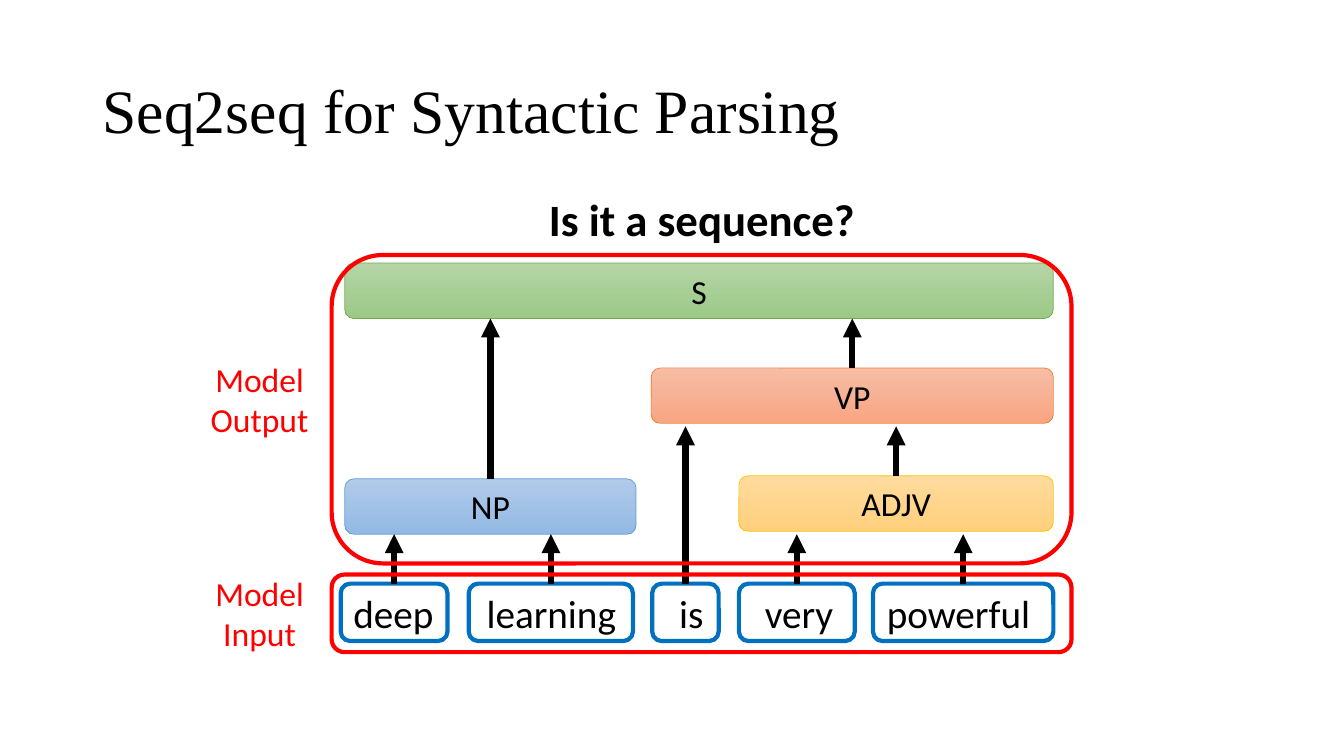
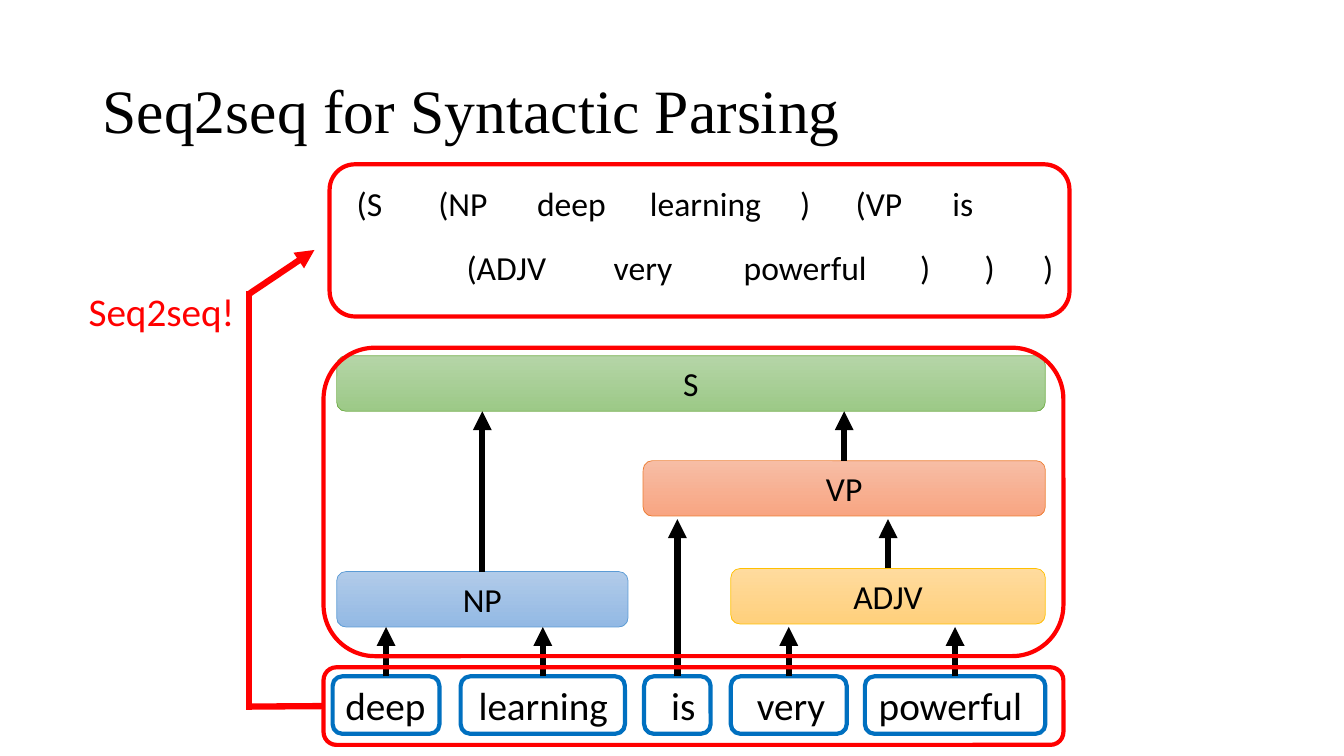
"""Build two slides on syntactic parsing with seq2seq, on a grid of tenth-inch cells."""
from pptx import Presentation
from pptx import util as u
from pptx.dml.color import RGBColor
from pptx.enum import shapes, text
from pptx.oxml import parse_xml
from pptx.oxml.ns import nsdecls

CELL = u.Inches(0.1)
COLS, ROWS = 133.33, 75
HEX = {
    "ink": "000000", "red": "FF0000", "blue": "0070C0",
    "S": ("B5D5A7", "9CC987", "70AD47"),
    "VP": ("F7BDA5", "F8A582", "ED7D31"),
    "NP": ("B1CBE9", "93B9E4", "5B9BD5"),
    "ADJV": ("FFDB9E", "FFD07C", "FFC000"),
}
LEFT, MID = text.PP_ALIGN.LEFT, text.PP_ALIGN.CENTER
TITLE = {"name": "Times New Roman", "size": u.Pt(44)}
HEAD = {"name": "Calibri", "size": u.Pt(32), "bold": True}
WORD = {"name": "Calibri", "size": u.Pt(28)}
BODY = {"name": "Calibri", "size": u.Pt(24)}

WORDS = [("deep", 33.8, 10.6, 1), ("learning", 46.5, 16.3, 1.5),
         ("is", 64.7, 6.6, 2.4), ("very", 73.3, 11.5, 2.3),
         ("powerful", 86.6, 17.9, 1.1)]
BARS = [("VP", 64.6, 36.5, 39.9), ("S", 34.2, 26.1, 70.3),
        ("NP", 34.2, 47.5, 28.9), ("ADJV", 73.3, 47.2, 31.2)]
LINKS = [("deep", 53), ("learning", 53), ("very", 53), ("powerful", 53),
         ("ADJV", 42.3), ("is", 42.3), ("VP", 31.6), ("NP", 31.6)]
TOKENS = [
    (17.7, [("(S", 34.4, 9.7), ("(NP", 42.5, 9.7), ("deep", 52.3, 9.7),
            ("learning", 63.5, 14.7), (")", 78.4, 5.5), ("(VP", 83.9, 9.7),
            ("is", 93.5, 14.7)]),
    (24, [("(ADJV", 45.3, 12.5), ("very", 59.9, 14.7),
          ("powerful", 72.8, 14.7), (")", 90.3, 5.5), (")", 96.7, 5.5),
          (")", 102.5, 5.5)]),
]


def grid(*cells):
    """Turn grid cells into lengths."""
    return [round(n * CELL) for n in cells]


def tint(name):
    """Give the colour of a hex string."""
    return RGBColor.from_string(name)


def write(shape, words, font, ink="ink", align=LEFT, anchor=text.MSO_ANCHOR.TOP, **frame):
    """Fill a shape with styled text, one paragraph a line."""
    body = shape.text_frame
    body.text = words
    for key, val in {"word_wrap": True, "vertical_anchor": anchor, **frame}.items():
        setattr(body, key, val)
    for para in body.paragraphs:
        para.alignment = align
        para.font.color.rgb = tint(HEX[ink])
        for key, val in font.items():
            setattr(para.font, key, val)
    return body


def label(home, words, box, font, **look):
    """Add a text box."""
    return write(home.add_textbox(*grid(*box)), words, font, **look)


def block(home, box, edge, width):
    """Add an unfilled rounded box with an outline."""
    shape = home.add_shape(shapes.MSO_SHAPE.ROUNDED_RECTANGLE, *grid(*box))
    shape.shadow.inherit = False
    shape.fill.background()
    shape.line.color.rgb = tint(edge)
    shape.line.width = u.Pt(width)
    return shape


def bar(home, name, box):
    """Add a phrase bar with a downward gradient."""
    first, last, edge = HEX[name]
    shape = block(home, box, edge, 0.5)
    shape.fill.gradient()
    shape.fill.gradient_angle = 270
    for stop, shade in zip(shape.fill.gradient_stops, (first, last)):
        stop.color.rgb = tint(shade)
    write(shape, name, BODY, align=MID, anchor=text.MSO_ANCHOR.MIDDLE)
    return shape


def link(home, start, end, ink="ink", head=True, joint=None):
    """Draw a thick line, with an arrowhead or a joined start if asked."""
    line = home.add_connector(shapes.MSO_CONNECTOR.STRAIGHT, *grid(*start, *end))
    line.line.color.rgb = tint(HEX[ink])
    line.line.width = u.Pt(4.5)
    if head:
        line.get_or_add_ln().append(parse_xml(f'<a:tailEnd {nsdecls("a")} type="triangle"/>'))
    line._element.spPr.append(parse_xml(f'<a:effectLst {nsdecls("a")}/>'))
    if joint:
        line.begin_connect(*joint)


def tree(home, dx=0, dy=0):
    """Draw the parse tree, shifted by some cells, and return its input frame."""
    nodes = {}
    for name, left, width, inset in WORDS:
        box = (left + dx, 57.9 + dy, width, 5.7)
        nodes[name] = block(home, box, HEX["blue"], 3), box
        write(nodes[name][0], name, WORD, anchor=text.MSO_ANCHOR.MIDDLE,
              margin_left=grid(inset)[0], margin_right=0)
    for name, left, top, width in BARS:
        box = (left + dx, top + dy, width, 5.5)
        nodes[name] = bar(home, name, box), box
    for name, end in LINKS:
        shape, (left, top, width, _) = nodes[name]
        mid = left + width / 2
        link(home, (mid, top), (mid, end + dy), joint=(shape, 0))
    frames = [block(home, (32.9 + dx, top + dy, 73.4, height), HEX["red"], 3)
              for top, height in ((25.3, 30.6), (57, 7.7))]
    return frames[-1]


def start(deck):
    """Add a blank slide with the shared title and return its shapes."""
    home = deck.slides.add_slide(deck.slide_layouts[6]).shapes
    body = label(home, "Seq2seq for Syntactic Parsing", (9.2, 4, 115, 14.5),
                 TITLE, anchor=text.MSO_ANCHOR.MIDDLE)
    body.paragraphs[0].line_spacing = 0.9
    return home


def ask(deck):
    """Build the slide that asks whether the tree is a sequence."""
    home = start(deck)
    tree(home)
    for words, top in (("Model\nInput", 56.3), ("Model\nOutput", 35.1)):
        label(home, words, (19.7, top, 12.1, 9.1), BODY, ink="red", align=MID)
    label(home, "Is it a sequence?", (47.5, 18.5, 44.3, 6.4), HEAD, align=MID)


def reply(deck):
    """Build the slide that writes the tree as a sequence."""
    home = start(deck)
    frame = tree(home, -0.8, 9.2)
    label(home, "Seq2seq!", (7.8, 28, 17.5, 5.7), WORD, ink="red")
    link(home, (24.7, 70.4), (24.7, 28.9), "red", head=False)
    link(home, (32.1, 70.1), (24.8, 70.1), "red", head=False, joint=(frame, 1))
    link(home, (24.8, 29.1), (31.2, 24.8), "red")
    group = home.add_group_shape().shapes
    for top, row in TOKENS:
        for words, left, width in row:
            label(group, words, (left, top, width, 5), BODY)
    block(group, (32.7, 16.3, 73.4, 15.1), HEX["red"], 3)


def main():
    """Build and save the deck."""
    deck = Presentation()
    deck.slide_width, deck.slide_height = grid(COLS, ROWS)
    ask(deck)
    reply(deck)
    deck.save("out.pptx")


if __name__ == "__main__":
    main()
